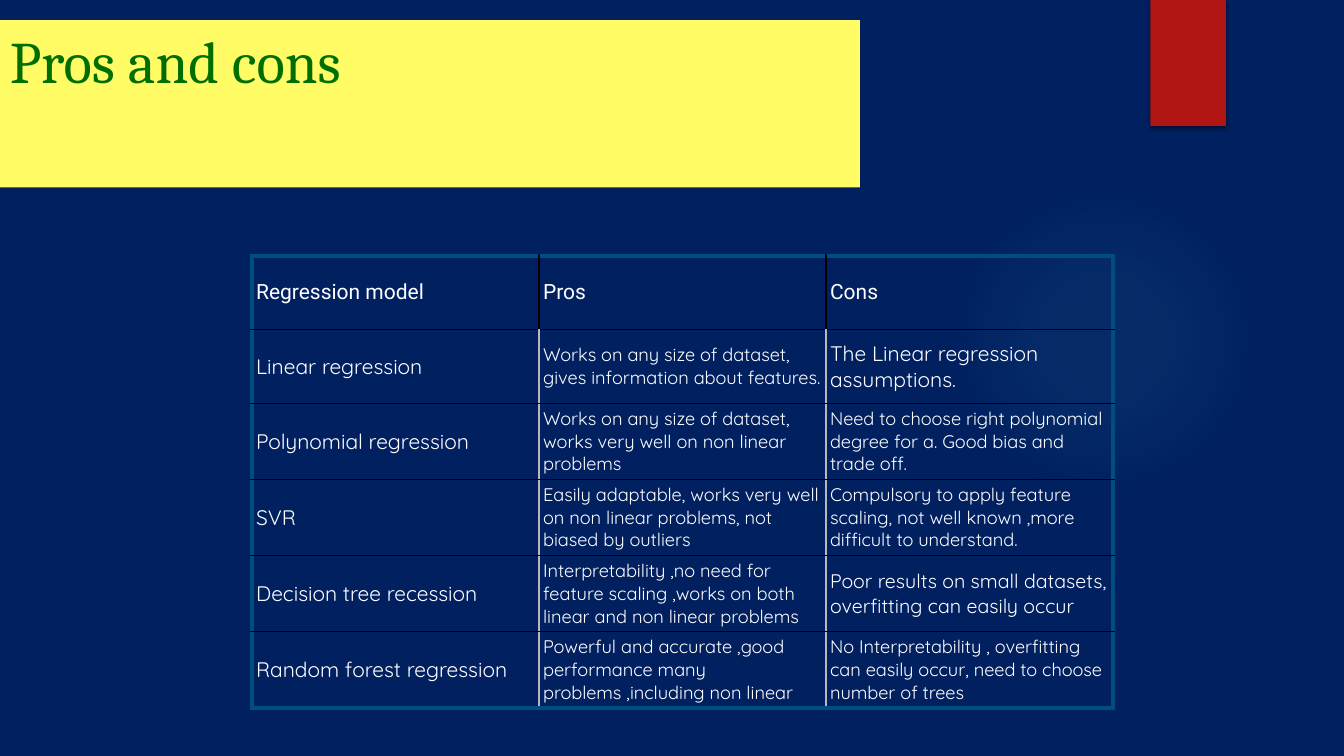
from lxml import etree
from pptx import Presentation
from pptx.dml.color import RGBColor
from pptx.enum.shapes import MSO_SHAPE as SHAPE
from pptx.enum.text import MSO_ANCHOR as ANCHOR
from pptx.oxml import parse_xml
from pptx.oxml.ns import nsdecls, qn
from pptx.util import Inches, Pt

ROWS = [
    ("Regression model", "Pros", "Cons"),
    ("Linear regression",
     "Works on any size of dataset, gives information about features.",
     "The Linear regression assumptions."),
    ("Polynomial regression",
     "Works on any size of dataset, works very well on non linear problems",
     "Need to choose right polynomial degree for a. Good bias and trade off."),
    ("SVR",
     "Easily adaptable, works very well on non linear problems, not biased by outliers",
     "Compulsory to apply feature scaling, not well known ,more difficult to understand."),
    ("Decision tree recession",
     "Interpretability ,no need for feature scaling ,works on both linear and non linear problems",
     "Poor results on small datasets, overfitting can easily occur"),
    ("Random forest regression",
     "Powerful and accurate ,good performance many problems ,including non linear",
     "No Interpretability , overfitting can easily occur, need to choose number of trees"),
]
HEIGHTS = [0.73, 0.73, 0.75, 0.75, 0.75, 0.75]
CONS_SIZES = [15, 15, 13, 13, 14, 13]


def rgb(color):
    return RGBColor.from_string(color)


class Deck:
    """Holds the slide and its style, with a method for each kind of element."""

    frame, grid, dark, text = "004D80", "B8B8B8", "000000", "FFFFFF"

    def __init__(self):
        self.prs = Presentation()
        self.prs.slide_width, self.prs.slide_height = Inches(13.33), Inches(7.5)
        self.s = self.prs.slides.add_slide(self.prs.slide_layouts[6])
        self.s.background.fill.solid()
        self.s.background.fill.fore_color.rgb = rgb("002060")

    def shape(self, kind, box, color):
        sp = self.s.shapes.add_shape(kind, *map(Inches, box))
        sp.shadow.inherit = False
        sp.line.fill.background()
        sp.fill.solid()
        sp.fill.fore_color.rgb = rgb(color)
        return sp

    def glow(self, box, color, stops):
        sp = self.shape(SHAPE.OVAL, box, color)
        gs = "".join(
            f'<a:gs pos="{pos * 1000}"><a:srgbClr val="{color}">'
            f'<a:alpha val="{alpha * 1000}"/></a:srgbClr></a:gs>' for pos, alpha in stops)
        pr = sp._element.spPr
        pr.replace(pr.find(qn("a:solidFill")), parse_xml(
            f'<a:gradFill {nsdecls("a")}><a:gsLst>{gs}</a:gsLst><a:path path="circle">'
            '<a:fillToRect l="50000" t="50000" r="50000" b="50000"/></a:path></a:gradFill>'))

    def ribbon(self, box, color):
        sp = self.shape(SHAPE.RECTANGLE, box, color)
        effects = sp._element.spPr.find(qn("a:effectLst"))
        effects.append(parse_xml(
            f'<a:outerShdw {nsdecls("a")} blurRad="{Pt(3)}" dist="{Pt(2)}" dir="5400000" '
            'rotWithShape="0"><a:srgbClr val="000000"><a:alpha val="45000"/>'
            '</a:srgbClr></a:outerShdw>'))

    def style(self, p, font, size, color):
        for r in p.runs:
            r.font.name, r.font.size = font, Pt(size)
            r.font.color.rgb = rgb(color)

    def title(self, text, box, color):
        sp = self.shape(SHAPE.RECTANGLE, box, color)
        tf = sp.text_frame
        tf.text = text
        tf.word_wrap = True
        tf.vertical_anchor = ANCHOR.TOP
        p = tf.paragraphs[0]
        p.alignment = 1
        self.style(p, "Cambria", 42, "016F00")

    def borders(self, cell, sides):
        pr = cell._tc.get_or_add_tcPr()
        for i, (side, (color, width)) in enumerate(sides.items()):
            ln = etree.Element(qn(f"a:ln{side}"), w=str(Pt(width)))
            fill = etree.SubElement(ln, qn("a:solidFill"))
            etree.SubElement(fill, qn("a:srgbClr"), val=color)
            pr.insert(i, ln)

    def table(self, box, rows, heights, cons_sizes):
        last_row, last_col = len(rows) - 1, len(rows[0]) - 1
        tbl = self.s.shapes.add_table(len(rows), len(rows[0]), *map(Inches, box)).table
        tbl.first_row = tbl.horz_banding = False
        outer, rule = (self.frame, 3), (self.dark, 1)
        for i, row in enumerate(rows):
            tbl.rows[i].height = Inches(heights[i])
            inner = (self.grid if i else self.dark, 1)
            for j, text in enumerate(row):
                cell = tbl.cell(i, j)
                cell.text = text
                cell.vertical_anchor = ANCHOR.MIDDLE
                cell.margin_left = cell.margin_right = Inches(0.04)
                cell.margin_top = cell.margin_bottom = Inches(0.04)
                cell.fill.background()
                self.borders(cell, {
                    "L": inner if j else outer,
                    "R": inner if j < last_col else outer,
                    "T": rule if i else outer,
                    "B": rule if i < last_row else outer})
                size = (15, 13 if i else 15, cons_sizes[i])[j]
                font = "Quicksand" if i else "Roboto"
                self.style(cell.text_frame.paragraphs[0], font, size, self.text)


def main():
    deck = Deck()
    deck.glow((9.41, 1.83, 3.08, 3.08), "50B9C1", [(0, 7), (36, 6), (69, 0)])
    deck.ribbon((11.41, 0, 0.75, 1.25), "B01513")
    deck.title("Pros and cons", (0, 0.2, 8.53, 1.66), "FFFC66")
    deck.table((2.5, 2.54, 8.54, 4.46), ROWS, HEIGHTS, CONS_SIZES)
    deck.prs.save("out.pptx")


if __name__ == "__main__":
    main()
